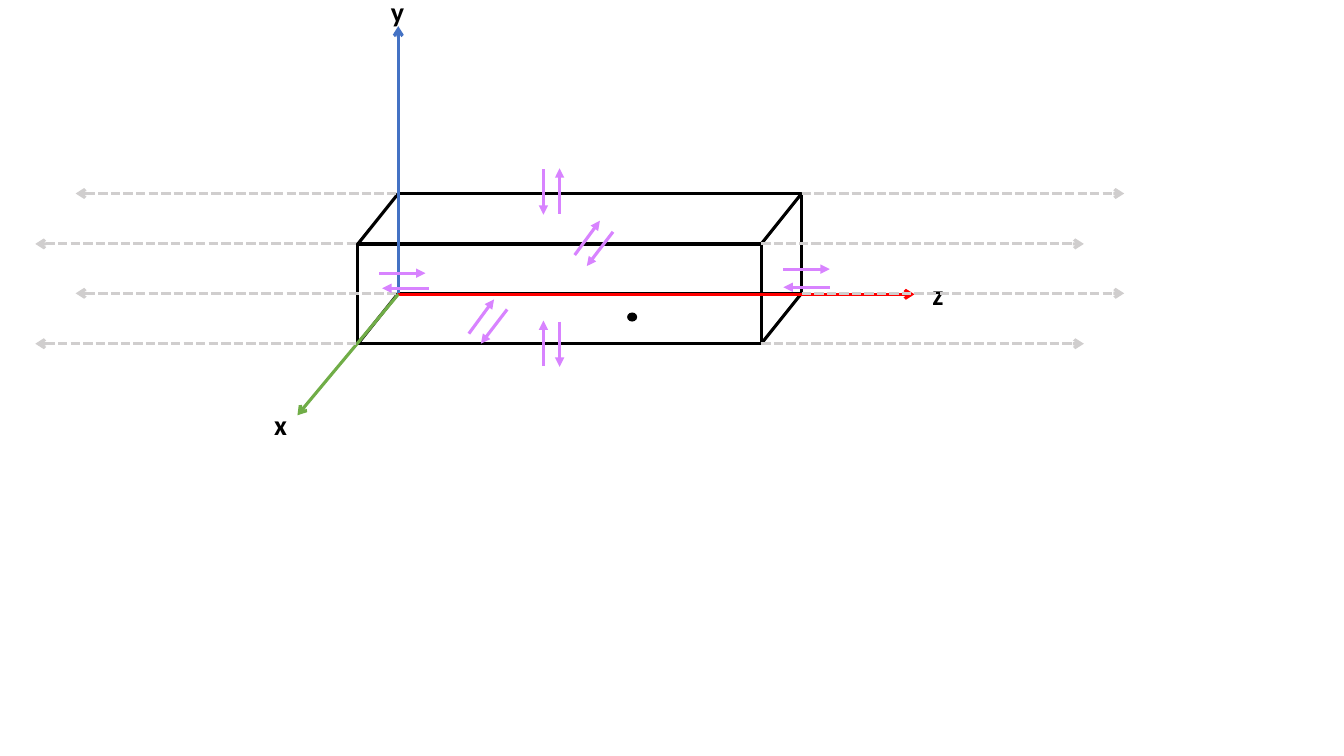
"""Draws a box-shaped volume element in x, y, z axes with flux arrows through its faces."""
import pptx
import pptx.dml.color
import pptx.enum.shapes
import pptx.enum.text
import pptx.util
from lxml import etree

COLUMNS, ROWS = 1333, 750
BLACK, GUIDE_GREY, FLUX_PURPLE = "000000", "D0CECE", "D883FF"

BOX_LENGTH, BOX_HEIGHT = 400, 99
FRONT = (355, 242)
BACK = (395, 192)
GUIDE_LENGTH = 320

ORIGIN = (BACK[0], BACK[1] + BOX_HEIGHT + 1)
AXES = [
    ("y", (395, 26), "4472C4", (378, -10, 34, 44)),
    ("z", (907, 292), "FF0000", (915, 270, 31, 44)),
    ("x", (295, 412), "70AD47", (262, 399, 33, 44)),
]
POINT = (622, 310, 10, 9)

DIRECTIONS = {
    "right": (46, 0), "left": (-46, 0),
    "up": (0, -45), "down": (0, 45),
    "away": (25, -34), "toward": (-26, 34),
}
FLUXES = [
    ("right", 777, 267), ("left", 823, 285),
    ("right", 376, 271), ("left", 425, 286),
    ("down", 539, 168), ("up", 555, 212),
    ("up", 539, 363), ("down", 555, 319),
    ("away", 465, 331), ("toward", 503, 307),
    ("away", 570, 253), ("toward", 608, 230),
]

deck = pptx.Presentation()
CELL = pptx.util.Inches(0.01)
deck.slide_width, deck.slide_height = COLUMNS * CELL, ROWS * CELL
slide = deck.slides.add_slide(deck.slide_layouts[6])


def colour(hex_text):
    return pptx.dml.color.RGBColor.from_string(hex_text)


def cells(*counts):
    return [count * CELL for count in counts]


def add_line(start, end, hex_text, dash=None, head=None, tail=None):
    connector = slide.shapes.add_connector(
        pptx.enum.shapes.MSO_CONNECTOR.STRAIGHT, *cells(*start, *end))
    connector.line.width = pptx.util.Pt(2.25)
    connector.line.color.rgb = colour(hex_text)
    properties = connector._element.spPr
    stroke = connector.line._get_or_add_ln()
    for tag, attribute, value in [("prstDash", "val", dash),
                                  ("headEnd", "type", head),
                                  ("tailEnd", "type", tail)]:
        if value:
            etree.SubElement(stroke, pptx.oxml.ns.qn("a:" + tag)).set(attribute, value)
    etree.SubElement(properties, pptx.oxml.ns.qn("a:effectLst"))


def add_text(text, place, size=20, bold=True, hex_text=BLACK, font="Calibri"):
    frame = slide.shapes.add_textbox(*cells(*place)).text_frame
    frame.word_wrap = False
    frame.auto_size = pptx.enum.text.MSO_AUTO_SIZE.SHAPE_TO_FIT_TEXT
    run = frame.paragraphs[0].add_run()
    run.text = text
    run.font.size, run.font.bold, run.font.name = pptx.util.Pt(size), bold, font
    run.font.color.rgb = colour(hex_text)


def add_face(corner):
    face = slide.shapes.add_shape(
        pptx.enum.shapes.MSO_SHAPE.RECTANGLE, *cells(*corner, BOX_LENGTH, BOX_HEIGHT))
    face.shadow.inherit = False
    face.fill.background()
    face.line.color.rgb = colour(BLACK)
    face.line.width = pptx.util.Pt(2.25)


def add_point(place):
    point = slide.shapes.add_shape(pptx.enum.shapes.MSO_SHAPE.OVAL, *cells(*place))
    point.shadow.inherit = False
    point.fill.solid()
    point.fill.fore_color.rgb = colour(BLACK)
    point.line.fill.background()


def main():
    for corner in (FRONT, BACK):
        add_face(corner)
    for across in (0, BOX_LENGTH):
        for down in (0, BOX_HEIGHT):
            add_line((FRONT[0] + across, FRONT[1] + down),
                     (BACK[0] + across, BACK[1] + down), BLACK)
    for name, tip, hex_text, label_place in AXES:
        add_line(ORIGIN, tip, hex_text, tail="arrow")
        add_text(name, label_place)
    add_point(POINT)
    for left, top in (FRONT, BACK):
        right = left + BOX_LENGTH
        for y in (top, top + BOX_HEIGHT):
            add_line((left - GUIDE_LENGTH, y), (left, y), GUIDE_GREY,
                     dash="sysDash", head="arrow")
            add_line((right, y), (right + GUIDE_LENGTH, y), GUIDE_GREY,
                     dash="sysDash", tail="arrow")
    for direction, x, y in FLUXES:
        across, down = DIRECTIONS[direction]
        add_line((x, y), (x + across, y + down), FLUX_PURPLE, tail="triangle")
    deck.save("out.pptx")


if __name__ == "__main__":
    main()
